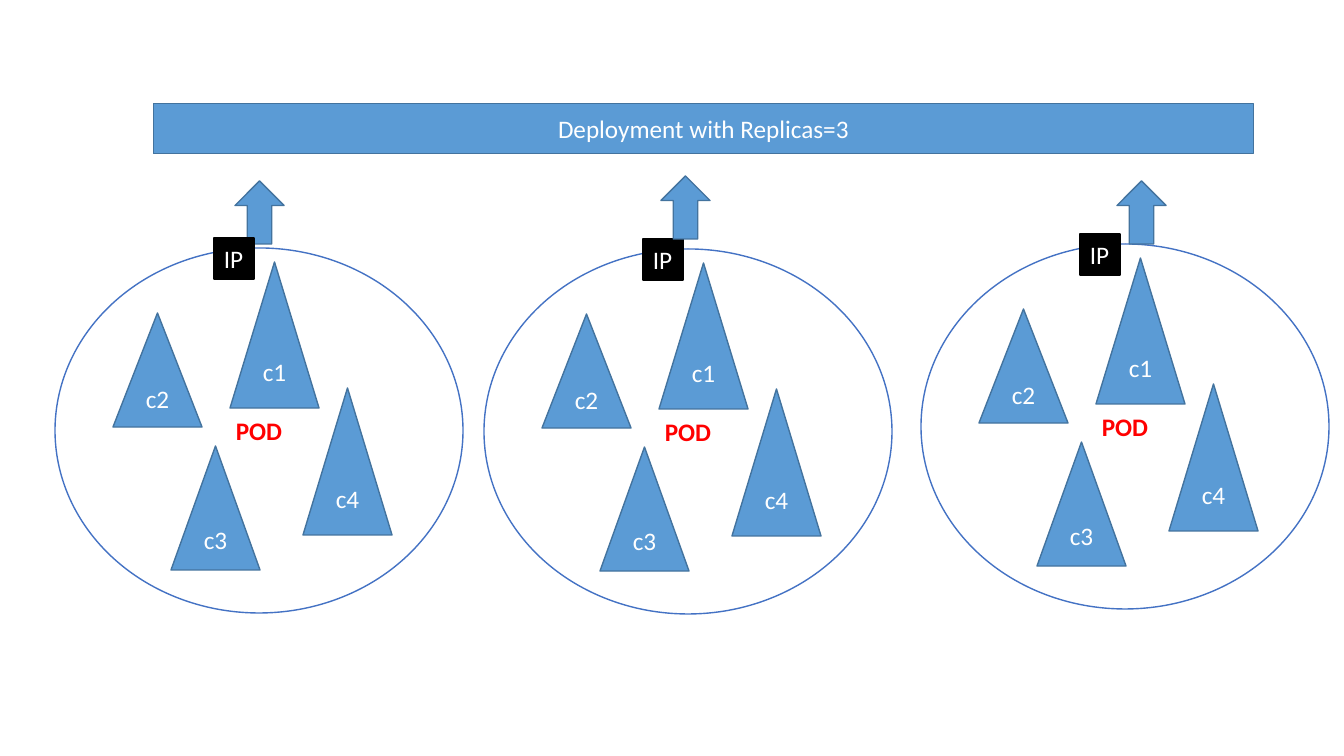
from pptx import Presentation
from pptx import util as u
from pptx.dml.color import RGBColor
from pptx.enum import shapes, text

SCALE = 914400 / 100.8
BLUE, OUTLINE, RING = "5B9BD5", "43739E", "4472C4"
WHITE, BLACK, RED = "FFFFFF", "000000", "FF0000"
KIND = shapes.MSO_SHAPE

DEPLOYMENT = ("Deployment with Replicas=3", (-45, 22, 1497, 213))
POD_SIZE = (408, 365)
CONTAINERS = [
    ("c2", (58, 65, 89, 114)),
    ("c1", (175, 14, 89, 146)),
    ("c4", (248, 140, 89, 147)),
    ("c3", (116, 198, 89, 124)),
]
IP_BOX = (159, -10, 40, 41)
ARROW_SIZE = (63, 49)
PODS = [
    {"origin": (55, 248), "arrow": (228, 188), "order": ("arrow", "ip")},
    {"origin": (484, 249), "arrow": (654, 183), "order": ("ip", "arrow")},
    {"origin": (921, 244), "arrow": (1110, 188), "order": ("ip", "arrow")},
]


def px(length):
    return u.Emu(round(length * SCALE))


def color(value):
    return RGBColor.from_string(value)


def write(shape, content, ink=WHITE, bold=False, align=text.PP_ALIGN.CENTER,
          anchor=text.MSO_ANCHOR.MIDDLE, wrap=True):
    frame = shape.text_frame
    frame.word_wrap = wrap
    frame.vertical_anchor = anchor
    paragraph = frame.paragraphs[0]
    paragraph.alignment = align
    run = paragraph.add_run()
    run.text = content
    run.font.name = "Calibri"
    run.font.size = u.Pt(18)
    run.font.bold = bold
    run.font.color.rgb = color(ink)


def draw(kind, box, fill=BLUE, line=OUTLINE):
    shape = slide.shapes.add_shape(kind, *map(px, box))
    shape.shadow.inherit = False
    shape.fill.solid()
    shape.fill.fore_color.rgb = color(fill)
    shape.line.color.rgb = color(line)
    shape.line.width = u.Pt(1)
    return shape


def inside(origin, box):
    return (origin[0] + box[0], origin[1] + box[1], *box[2:])


def draw_pod(pod):
    origin = pod["origin"]
    write(draw(KIND.OVAL, origin + POD_SIZE, WHITE, RING), "POD", ink=RED, bold=True)
    for name, box in CONTAINERS:
        write(draw(KIND.ISOSCELES_TRIANGLE, inside(origin, box)), name)
    for part in pod["order"]:
        if part == "arrow":
            draw(KIND.RIGHT_ARROW, pod["arrow"] + ARROW_SIZE).rotation = 270
        else:
            label = draw(KIND.RECTANGLE, inside(origin, IP_BOX), BLACK, BLACK)
            write(label, "IP", align=text.PP_ALIGN.LEFT,
                  anchor=text.MSO_ANCHOR.TOP, wrap=False)
            label.text_frame.auto_size = text.MSO_AUTO_SIZE.SHAPE_TO_FIT_TEXT


presentation = Presentation()
presentation.slide_width, presentation.slide_height = px(1344), px(756)
slide = presentation.slides.add_slide(presentation.slide_layouts[6])

title, title_box = DEPLOYMENT
write(draw(KIND.MATH_MINUS, title_box), title)
for pod in PODS:
    draw_pod(pod)

presentation.save("out.pptx")
